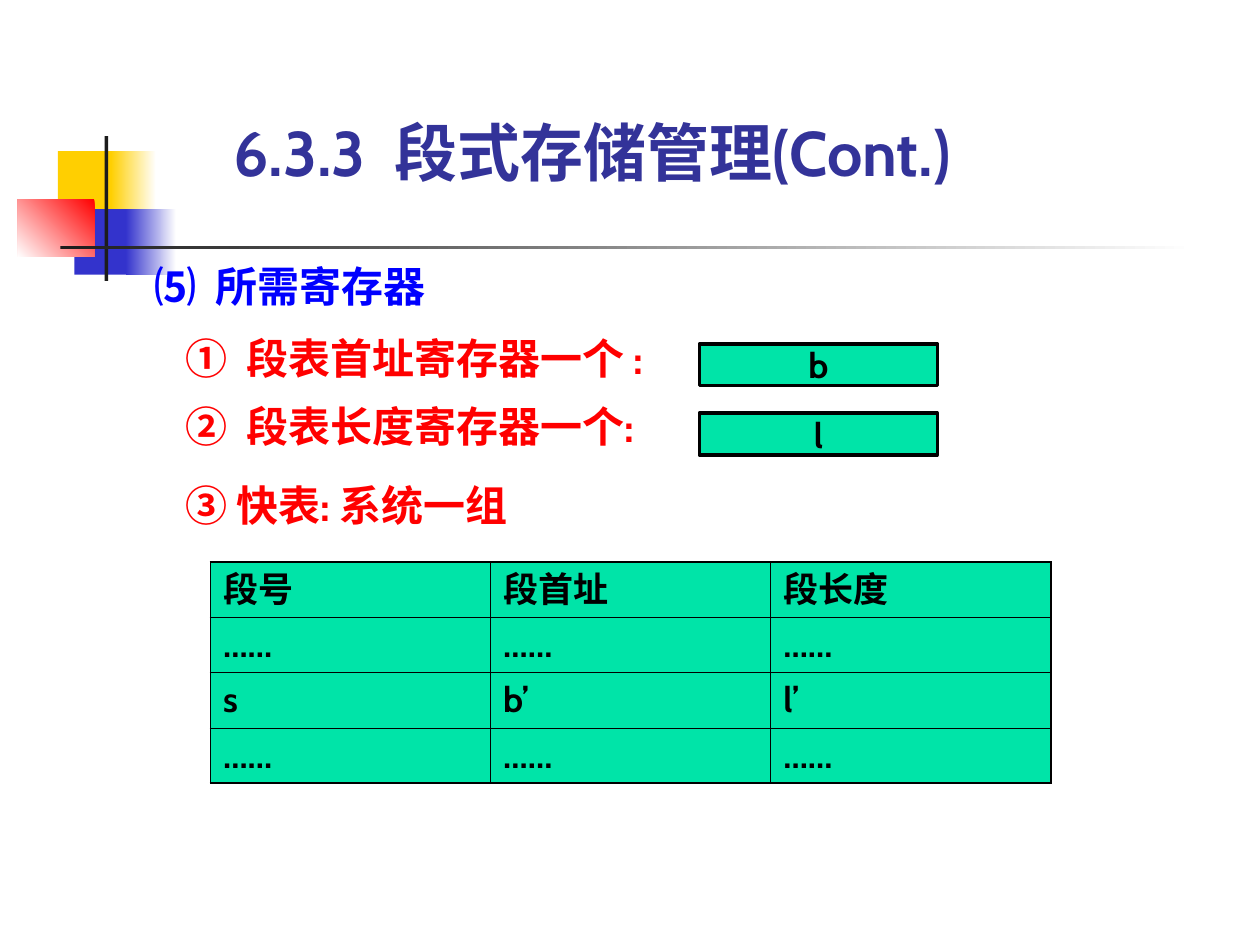
from pptx import Presentation
from pptx import util as u
from pptx.dml.color import RGBColor
from pptx.enum import shapes, text
from pptx.oxml import ns
from lxml import etree

FONT = "Cabin"
HUES = {
    "gold": "FFCF01", "blue": "3333CC", "red": "FF0000", "ink": "1C1C1C",
    "white": "FFFFFF", "title": "333399", "head": "0000FF",
    "mint": "00E4A8", "black": "000000",
}
LIST = [("⑸  所需寄存器", "head", 0, 0), ("①  段表首址寄存器一个 :", "red", 0.24, 12),
        ("②  段表长度寄存器一个:", "red", 0.24, 10.5), ("③ 快表: 系统一组", "red", 0.24, 16)]
ROWS = [("段号", "段首址", "段长度"), ("……",) * 3, ("s", "b’", "l’"), ("……",) * 3]


def tint(name):
    """Return the named colour."""
    return RGBColor.from_string(HUES[name])


def place(part, box):
    """Move a part to a box given in inches."""
    part.left, part.top, part.width, part.height = map(u.Inches, box)


def style(para, size, hue):
    """Format every run of a paragraph."""
    for run in para.runs:
        font = run.font
        font.name, font.size, font.bold = FONT, u.Pt(size), True
        font.color.rgb = tint(hue)
        east = etree.SubElement(run._r.get_or_add_rPr(), ns.qn("a:ea"))
        east.set("typeface", FONT)


def trim(frame):
    """Remove the margins and fitting of a text frame."""
    frame.margin_left = frame.margin_top = 0
    frame.margin_right = frame.margin_bottom = 0
    frame.word_wrap = True
    frame.auto_size = text.MSO_AUTO_SIZE.NONE


def block(slide, box, hue, end=None, angle=0):
    """Add a plain rectangle, fading to a second hue if one is given."""
    part = slide.shapes.add_shape(shapes.MSO_SHAPE.RECTANGLE, *map(u.Inches, box))
    part.shadow.inherit = False
    part.line.fill.background()
    if end:
        part.fill.gradient()
        part.fill.gradient_angle = angle
        for stop, name in zip(part.fill.gradient_stops, (hue, end)):
            stop.color.rgb = tint(name)
    else:
        part.fill.solid()
        part.fill.fore_color.rgb = tint(hue)
    return part


def motif(slide, box):
    """Draw the coloured squares and the crossing rules."""
    x, y, w, h = box
    block(slide, (x + 0.32, y + 0.12, 0.48, 0.52), "gold")
    block(slide, (x + 0.74, y + 0.12, 0.36, 0.52), "gold", "white")
    block(slide, (x + 0.45, y + 0.58, 0.46, 0.52), "blue")
    block(slide, (x + 0.86, y + 0.58, 0.4, 0.52), "blue", "white")
    block(slide, (x, y + 0.5, 0.61, 0.46), "red", "white", 225)
    block(slide, (x + 0.69, y, 0.03, h), "ink")
    block(slide, (x + 0.34, y + 0.87, w - 0.34, 0.03), "ink", "white")


def title(slide, box):
    """Fill the title placeholder."""
    part = slide.shapes.title
    place(part, box)
    frame = part.text_frame
    trim(frame)
    frame.vertical_anchor = text.MSO_ANCHOR.BOTTOM
    frame.text = "6.3.3  段式存储管理(Cont.)"
    para = frame.paragraphs[0]
    para.alignment, para.line_spacing = text.PP_ALIGN.LEFT, 0.85
    style(para, 36, "title")


def body(slide, box):
    """Fill the body placeholder with the list of registers."""
    part = slide.placeholders[1]
    place(part, box)
    frame = part.text_frame
    trim(frame)
    frame.text = "\n".join(item[0] for item in LIST)
    for para, (_, hue, inset, gap) in zip(frame.paragraphs, LIST):
        props = para._p.get_or_add_pPr()
        props.set("marL", str(u.Inches(inset)))
        props.set("indent", "0")
        etree.SubElement(props, ns.qn("a:buNone"))
        para.space_before = u.Pt(gap)
        style(para, 24, hue)


def cells(slide, box):
    """Draw the two register boxes."""
    x, y, w, h = box
    for row, word in enumerate("bl"):
        part = block(slide, (x, y + row * 0.55, w, h), "mint")
        part.line.color.rgb = tint("black")
        part.line.width = u.Pt(2)
        frame = part.text_frame
        trim(frame)
        frame.vertical_anchor = text.MSO_ANCHOR.TOP
        frame.text = word
        para = frame.paragraphs[0]
        para.alignment = text.PP_ALIGN.CENTER
        style(para, 20, "black")


def edge(cell, side, width):
    """Add one black border to a table cell."""
    line = etree.SubElement(cell._tc.get_or_add_tcPr(), ns.qn("a:ln" + side))
    line.set("w", str(u.Pt(width)))
    fill = etree.SubElement(line, ns.qn("a:solidFill"))
    etree.SubElement(fill, ns.qn("a:srgbClr")).set("val", HUES["black"])


def table(slide, box):
    """Add the segment table with a heavier outer frame."""
    high, wide = len(ROWS), len(ROWS[0])
    grid = slide.shapes.add_table(high, wide, *map(u.Inches, box)).table
    grid.first_row = grid.horz_banding = False
    for r, row in enumerate(ROWS):
        for c, word in enumerate(row):
            cell = grid.cell(r, c)
            outer = {"L": c == 0, "R": c == wide - 1, "T": r == 0, "B": r == high - 1}
            for side, heavy in outer.items():
                edge(cell, side, 1.08 if heavy else 0.45)
            cell.fill.solid()
            cell.fill.fore_color.rgb = tint("mint")
            cell.vertical_anchor = text.MSO_ANCHOR.MIDDLE
            cell.text_frame.text = word
            style(cell.text_frame.paragraphs[0], 20, "black")


def main():
    """Build and save the slide."""
    deck = Presentation()
    deck.slide_width, deck.slide_height = u.Inches(10), u.Inches(7.5)
    slide = deck.slides.add_slide(deck.slide_layouts[1])
    motif(slide, (0.14, 1.08, 9.34, 1.15))
    title(slide, (1.85, 0.99, 6.93, 0.51))
    body(slide, (1.23, 2.07, 4.1, 2.15))
    cells(slide, (5.55, 2.73, 1.89, 0.33))
    table(slide, (1.67, 4.46, 6.67, 1.75))
    tree = slide.shapes._spTree
    for part in list(slide.placeholders):
        tree.remove(part._element)
        tree.append(part._element)
    deck.save("out.pptx")


if __name__ == "__main__":
    main()
